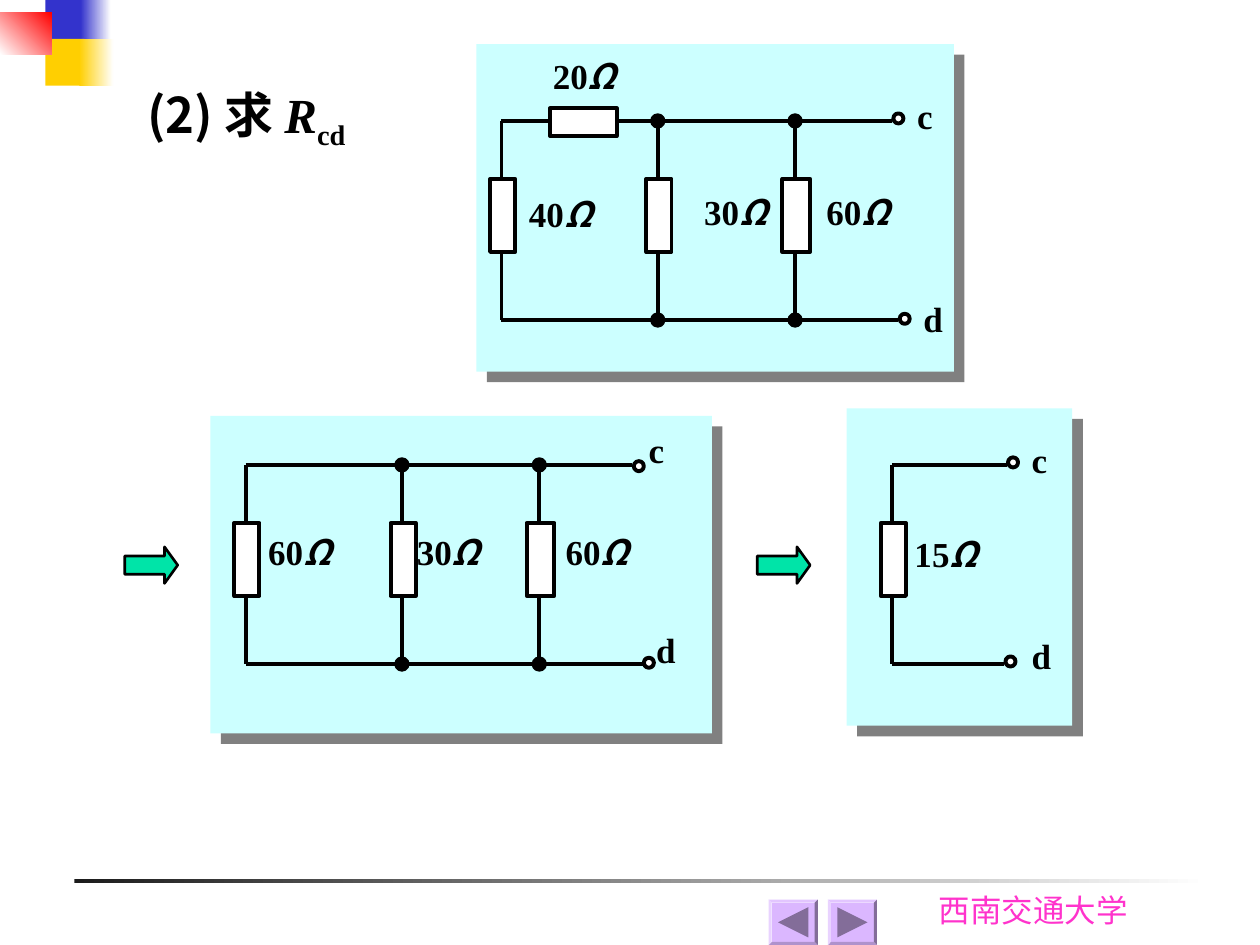
from dataclasses import dataclass

from lxml import etree
from pptx import Presentation
from pptx.dml.color import RGBColor
from pptx.enum import shapes, text
from pptx.oxml import ns
from pptx.util import Inches, Pt


@dataclass(frozen=True)
class Theme:
    black: str = "000000"
    white: str = "FFFFFF"
    panel: str = "CCFFFF"
    shadow: str = "808080"
    arrow: str = "00E4A8"
    blue: str = "3333CC"
    yellow: str = "FFCF01"
    red: str = "FF0000"
    rule: str = "1C1C1C"
    button: str = "DBB7FF"
    button_mark: str = "836D99"
    footer: str = "FF33CC"
    serif: str = "Times New Roman"
    cjk: str = "Noto Sans CJK SC"
    sans: str = "Cabin"
    title_size: int = 28
    label_size: int = 20
    footer_size: int = 18
    wire: float = 2.25
    outline: float = 1.5


THEME = Theme()
SHAPE = shapes.MSO_SHAPE
WIRE_DROP = 1.58


def add_shape(slide, kind, box, fill, line=None, width=THEME.wire):
    """Add a preset shape; a pair of colours as fill makes a gradient."""
    shape = slide.shapes.add_shape(kind, *(Inches(v) for v in box))
    shape.shadow.inherit = False
    if isinstance(fill, tuple):
        shape.fill.gradient()
        for stop, colour in zip(shape.fill.gradient_stops, fill):
            stop.color.rgb = RGBColor.from_string(colour)
        shape.fill.gradient_angle = 0
    else:
        shape.fill.solid()
        shape.fill.fore_color.rgb = RGBColor.from_string(fill)
    if line:
        shape.line.color.rgb = RGBColor.from_string(line)
        shape.line.width = Pt(width)
    else:
        shape.line.fill.background()
    return shape


def add_centred(slide, kind, centre, size, fill):
    (x, y), (w, h) = centre, size
    return add_shape(slide, kind, (x - w / 2, y - h / 2, w, h), fill, THEME.black)


def add_run(paragraph, words, font=THEME.serif, size=THEME.label_size, colour=THEME.black,
            bold=True, italic=False, baseline=None):
    run = paragraph.add_run()
    run.text = words
    run.font.name = font
    run.font.size = Pt(size)
    run.font.bold = bold
    run.font.italic = italic
    run.font.color.rgb = RGBColor.from_string(colour)
    properties = run.font._element
    etree.SubElement(properties, ns.qn("a:ea")).set("typeface", font)
    if baseline:
        properties.set("baseline", str(baseline))


def add_text(slide, box, runs, align=text.PP_ALIGN.LEFT, anchor=text.MSO_ANCHOR.TOP):
    """Add one line of text; each run is its words and a dict of formats."""
    frame = slide.shapes.add_textbox(*(Inches(v) for v in box)).text_frame
    frame.word_wrap = True
    frame.vertical_anchor = anchor
    paragraph = frame.paragraphs[0]
    paragraph.alignment = align
    for words, formats in runs:
        add_run(paragraph, words, **formats)
    return frame


def add_wire(slide, start, end):
    wire = slide.shapes.add_connector(
        shapes.MSO_CONNECTOR.STRAIGHT, *(Inches(v) for v in (*start, *end)))
    wire.line.color.rgb = RGBColor.from_string(THEME.black)
    wire.line.width = Pt(THEME.wire)
    etree.SubElement(wire._element.spPr, ns.qn("a:effectLst"))


def add_panel(slide, box):
    panel = add_shape(slide, SHAPE.RECTANGLE, box, THEME.panel)
    effects = panel._element.spPr.find(ns.qn("a:effectLst"))
    shadow = etree.SubElement(effects, ns.qn("a:outerShdw"), blurRad="0",
                              dist=str(Pt(8.5)), dir="2700000", algn="ctr", rotWithShape="0")
    etree.SubElement(shadow, ns.qn("a:srgbClr"), val=THEME.shadow)


def add_ohms(slide, at, ohms):
    add_text(slide, (*at, 1, 0.55), [(ohms, {}), ("Ω", dict(font=THEME.cjk, italic=True))],
             align=text.PP_ALIGN.JUSTIFY)


def draw_circuit(slide, box, corner, branches, terminals, series=None):
    """Draw parallel resistors on a panel.

    corner is the top left wire corner within the box; the rest is relative to it.
    branches: wire x, resistor width, ohms, label position.
    terminals: name, ring centre, label position, for the top and bottom wires.
    """
    add_panel(slide, box)
    left, top = box[0] + corner[0], box[1] + corner[1]
    bottom = top + WIRE_DROP

    def place(offset):
        return left + offset[0], top + offset[1]

    for (name, ring, label), y in zip(terminals, (top, bottom)):
        x_ring, y_ring = place(ring)
        add_wire(slide, (left, y), (x_ring - 0.05, y))
        add_centred(slide, SHAPE.OVAL, (x_ring, y_ring), (0.08, 0.08), THEME.white)
        add_text(slide, (*place(label), 0.6, 0.58), [(name, {})], align=text.PP_ALIGN.JUSTIFY)
    for index, (dx, width, ohms, label) in enumerate(branches):
        x = left + dx
        add_wire(slide, (x, top), (x, bottom))
        add_centred(slide, SHAPE.RECTANGLE, (x + 0.01, top + 0.75), (width, 0.58), THEME.white)
        if index:
            for y in (top, bottom):
                add_centred(slide, SHAPE.OVAL, (x, y), (0.09, 0.09), THEME.black)
        add_ohms(slide, place(label), ohms)
    if series:
        centre, ohms, label = series
        add_centred(slide, SHAPE.RECTANGLE, place(centre), (0.53, 0.22), THEME.white)
        add_ohms(slide, place(label), ohms)


def draw_corner_blocks(slide, left, top):
    blocks = [
        ((0.36, 0, 0.32, 0.37), THEME.blue),
        ((0.64, 0, 0.24, 0.37), (THEME.blue, THEME.white)),
        ((0.36, 0.31, 0.31, 0.37), THEME.yellow),
        ((0.63, 0.31, 0.27, 0.37), (THEME.yellow, THEME.white)),
        ((0, 0.1, 0.41, 0.33), (THEME.white, THEME.red)),
    ]
    for (x, y, w, h), fill in blocks:
        block = add_shape(slide, SHAPE.RECTANGLE, (left + x, top + y, w, h), fill)
    block.fill.gradient_angle = 45


def draw_title(slide, box):
    frame = add_text(slide, box, [
        ("(2) 求 ", dict(font=THEME.cjk, size=THEME.title_size)),
        ("R", dict(size=THEME.title_size, italic=True)),
        ("cd", dict(size=THEME.title_size, baseline=-25000)),
    ], anchor=text.MSO_ANCHOR.MIDDLE)
    frame.margin_left = Inches(0.25)


def draw_button(slide, box, rotation):
    left, top, width, height = box
    bevel = add_shape(slide, SHAPE.BEVEL, box, THEME.button)
    bevel.adjustments[0] = 0.07
    side = 0.24
    mark = add_shape(slide, SHAPE.ISOSCELES_TRIANGLE,
                     (left + (width - side) / 2, top + (height - side) / 2, side, side),
                     THEME.button_mark)
    mark.rotation = rotation


def draw_footer(slide, left, top):
    add_shape(slide, SHAPE.RECTANGLE, (left, top, 9, 0.03), (THEME.rule, THEME.white))
    add_text(slide, (left + 6.76, top + 0.04, 1.81, 0.4), [
        ("西南交通大学", dict(font=THEME.sans, size=THEME.footer_size,
                        colour=THEME.footer, bold=False))])
    for dx, rotation in ((5.51, 270), (5.98, 90)):
        draw_button(slide, (left + dx, top + 0.16, 0.39, 0.36), rotation)


def main():
    deck = Presentation()
    deck.slide_width, deck.slide_height = Inches(10), Inches(7.5)
    slide = deck.slides.add_slide(deck.slide_layouts[6])
    draw_corner_blocks(slide, 0, 0)
    draw_title(slide, (0.92, 0.46, 2.71, 0.95))
    for x in (0.99, 6.01):
        arrow = add_shape(slide, SHAPE.RIGHT_ARROW, (x, 4.34, 0.42, 0.29), THEME.arrow,
                          THEME.black, THEME.outline)
        arrow.adjustments[1] = 0.36
    draw_circuit(
        slide, (3.78, 0.35, 3.79, 2.6), (0.2, 0.61),
        [(0, 0.2, "40", (0.12, 0.52)), (1.24, 0.2, "30", (1.51, 0.5)),
         (2.33, 0.22, "60", (2.48, 0.5))],
        [("c", (3.15, -0.02), (3.2, -0.26)), ("d", (3.2, 1.57), (3.25, 1.35))],
        series=((0.65, 0.01), "20", (0.31, -0.58)))
    draw_circuit(
        slide, (1.67, 3.3, 3.98, 2.52), (0.28, 0.39),
        [(0, 0.2, "60", (0.08, 0.47)), (1.24, 0.2, "30", (1.26, 0.47)),
         (2.33, 0.22, "60", (2.44, 0.47))],
        [("c", (3.12, 0.01), (3.1, -0.34)), ("d", (3.2, 1.57), (3.16, 1.25))])
    draw_circuit(
        slide, (6.72, 3.24, 1.79, 2.52), (0.36, 0.45),
        [(0, 0.2, "15", (0.08, 0.49))],
        [("c", (0.96, -0.02), (1.01, -0.26)), ("d", (0.94, 1.56), (1.01, 1.3))])
    draw_footer(slide, 0.59, 6.98)
    deck.save("out.pptx")


if __name__ == "__main__":
    main()
